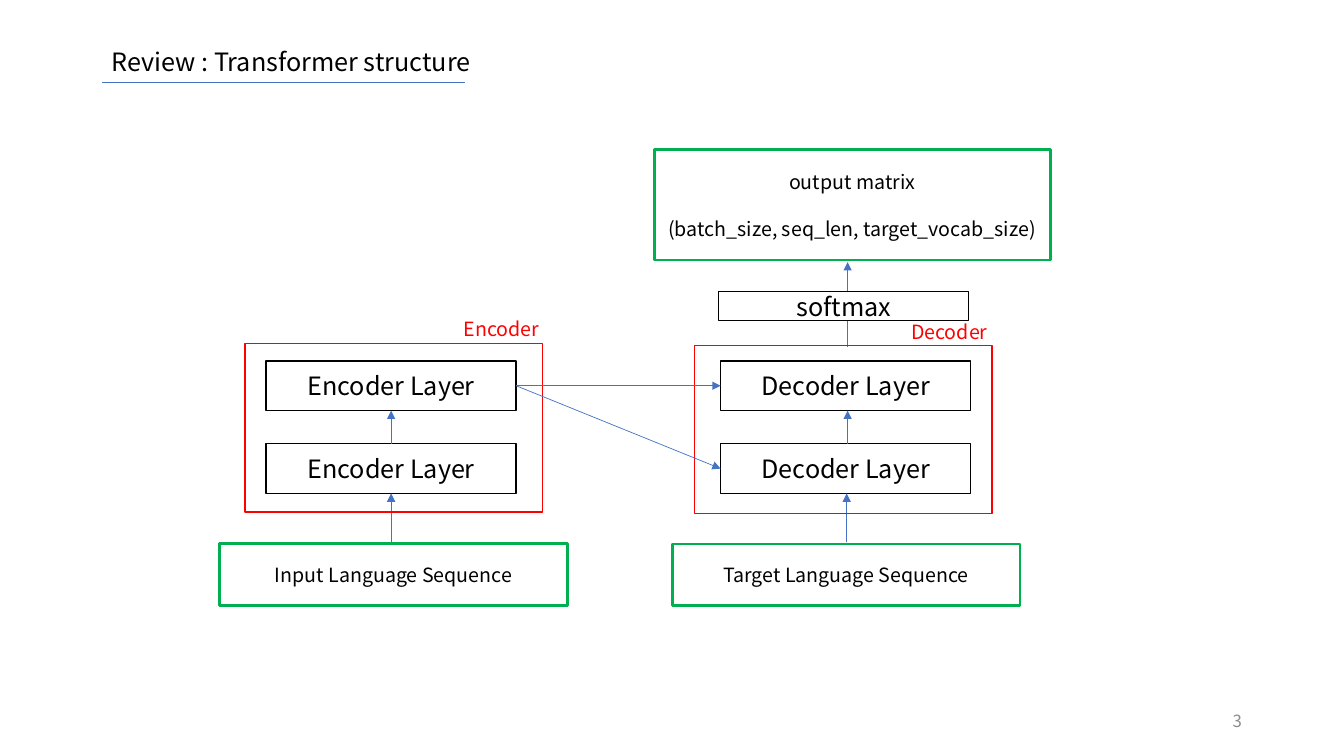
from pptx import Presentation
from pptx.dml.color import RGBColor
from pptx.enum.shapes import MSO_CONNECTOR, MSO_SHAPE
from pptx.enum.text import MSO_ANCHOR, PP_ALIGN
from pptx.oxml.ns import qn
from pptx.util import Pt
from lxml import etree

FONT = "Noto Sans CJK KR"
BLACK = RGBColor(0x00, 0x00, 0x00)
WHITE = RGBColor(0xFF, 0xFF, 0xFF)
GRAY = RGBColor(0x8C, 0x8C, 0x8C)
BLUE = RGBColor(0x44, 0x72, 0xC4)
RED = RGBColor(0xFF, 0x00, 0x00)
GREEN = RGBColor(0x00, 0xB0, 0x50)
RECTANGLE = MSO_SHAPE.RECTANGLE
STRAIGHT = MSO_CONNECTOR.STRAIGHT
LEFT, CENTER, RIGHT = PP_ALIGN.LEFT, PP_ALIGN.CENTER, PP_ALIGN.RIGHT
TOP, MIDDLE = MSO_ANCHOR.TOP, MSO_ANCHOR.MIDDLE

deck = Presentation()
deck.slide_width, deck.slide_height = Pt(960), Pt(540)
page = deck.slides.add_slide(deck.slide_layouts[6])


def add_box(area, lines=(), size=14, color=BLACK, align=CENTER, anchor=MIDDLE,
            outline=None, weight=1, fill=None):
    """Add an outlined rectangle, or a plain text box when there is no outline."""
    area = [Pt(length) for length in area]
    if outline is None:
        box = page.shapes.add_textbox(*area)
    else:
        box = page.shapes.add_shape(RECTANGLE, *area)
        box.shadow.inherit = False
        box.line.color.rgb = outline
        box.line.width = Pt(weight)
        if fill is None:
            box.fill.background()
        else:
            box.fill.solid()
            box.fill.fore_color.rgb = fill
    frame = box.text_frame
    frame.word_wrap = True
    frame.vertical_anchor = anchor
    for index, line in enumerate(lines):
        para = frame.add_paragraph() if index else frame.paragraphs[0]
        para.alignment = align
        if index:
            para.space_before = Pt(16.8)
        span = para.add_run()
        span.text = line
        span.font.name = FONT
        span.font.size = Pt(size)
        span.font.color.rgb = color


def add_line(x1, y1, x2, y2, arrow=True):
    line = page.shapes.add_connector(STRAIGHT, Pt(x1), Pt(y1), Pt(x2), Pt(y2))
    line.line.color.rgb = BLUE
    line.line.width = Pt(0.5)
    if arrow:
        etree.SubElement(line.line._get_or_add_ln(), qn("a:tailEnd"), type="triangle")
    etree.SubElement(line._element.spPr, qn("a:effectLst"))


# Title and page number
add_box((72.7, 29.5, 328.3, 28.8), ["Review : Transformer structure"], 18,
        align=LEFT, anchor=TOP)
add_line(72.7, 59, 331.9, 59, arrow=False)
add_box((678.2, 500.4, 216, 28.8), ["3"], 12, GRAY, RIGHT)

# Arrow from the decoder to the output, passing behind softmax
add_line(605.5, 247.7, 605.5, 187.2)

# Encoder and decoder stacks
LAYER_WIDTH, LAYER_HEIGHT = 178.6, 35.5
UPPER, LOWER = 257.8, 317
ENCODER_LEFT, DECODER_LEFT = 190.1, 514.8
stacks = [
    # name, layer left, frame left, frame top, label left, label top, arrow x, input arrow x
    ("Encoder", ENCODER_LEFT, 175, 245.5, 324, 222.5, 279.4, 279.4),
    ("Decoder", DECODER_LEFT, 496.1, 246.6, 643.7, 224.9, 605.5, 604.8),
]
for name, left, frame_left, frame_top, label_left, label_top, arrow_x, input_x in stacks:
    for top in (UPPER, LOWER):
        add_box((left, top, LAYER_WIDTH, LAYER_HEIGHT), [name + " Layer"], 18,
                outline=BLACK, fill=WHITE)
    add_line(input_x, 387.4, input_x, LOWER + LAYER_HEIGHT)
    add_line(arrow_x, LOWER, arrow_x, UPPER + LAYER_HEIGHT)
    add_box((frame_left, frame_top, 212.4, 120.2), outline=RED)
    add_box((label_left, label_top, 151.9, 24.5), [name], color=RED,
            align=LEFT, anchor=TOP)

# Encoder result to both decoder layers
for top in (UPPER, LOWER):
    add_line(ENCODER_LEFT + LAYER_WIDTH, UPPER + LAYER_HEIGHT / 2,
             DECODER_LEFT, top + LAYER_HEIGHT / 2)

# Inputs, softmax and output
add_box((157, 388.1, 248.4, 44.2), ["Input Language Sequence"], outline=GREEN, weight=2)
add_box((480.2, 388.6, 248.4, 44.2), ["Target Language Sequence"], outline=GREEN, weight=2)
add_box((513.4, 208.1, LAYER_WIDTH, 20.9), ["softmax"], 18, outline=BLACK, fill=WHITE)
add_box((467.3, 107.1, 283, 78.7),
        ["output matrix", "(batch_size, seq_len, target_vocab_size)"],
        outline=GREEN, weight=2)

deck.save("out.pptx")
